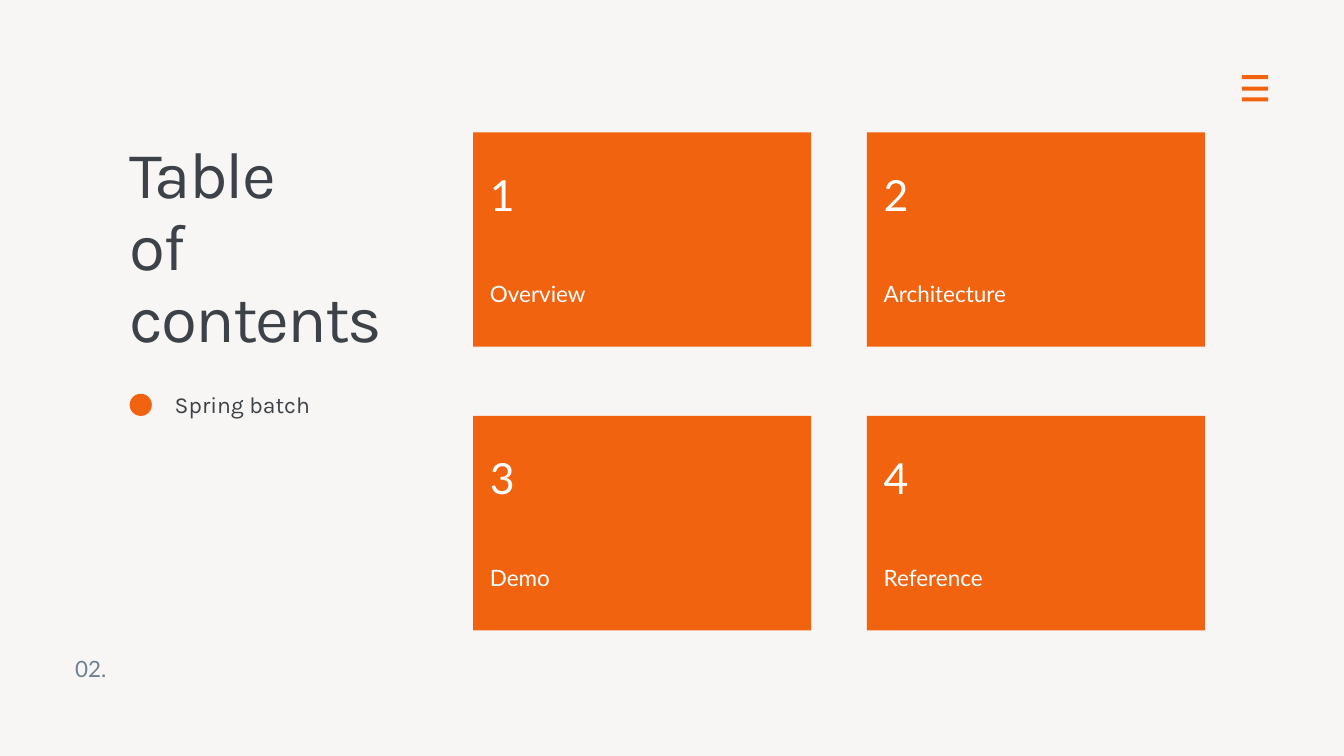
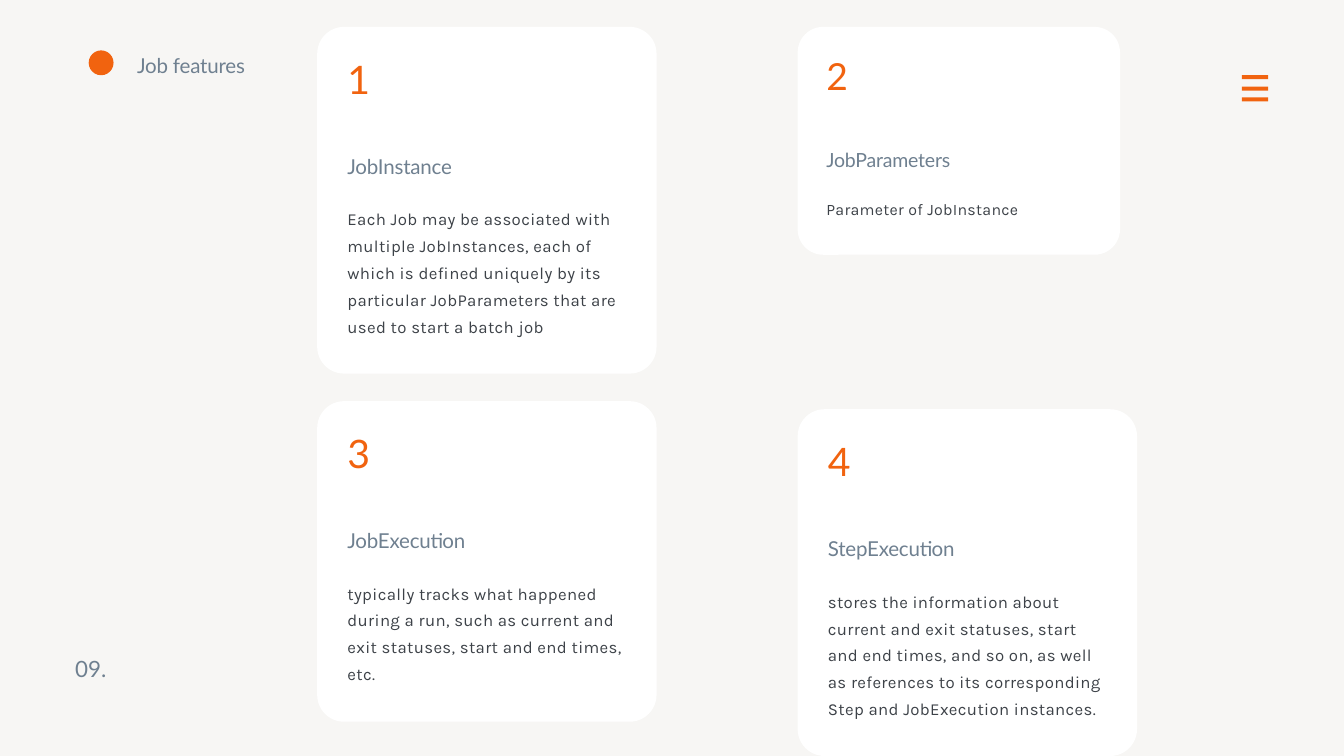
from pptx import Presentation
from pptx.dml.color import RGBColor
from pptx.enum.shapes import MSO_SHAPE as SHAPE
from pptx.util import Pt

PX = 9144  # EMU in one px, 100 px to the inch
WIDE, HIGH = 2000, 1125

PAPER = RGBColor(0xF7, 0xF6, 0xF4)
ORANGE = RGBColor(0xF1, 0x63, 0x0F)
INK = RGBColor(0x3D, 0x42, 0x48)
SLATE = RGBColor(0x6F, 0x80, 0x90)
WHITE = RGBColor(0xFF, 0xFF, 0xFF)

# Text styles: font, size, colour, line pitch, letter spacing (points)
TITLE = ("Karla", 70.3, INK, 77.4, -2.1)
TOPIC = ("Karla", 24.6, INK, 34.5, 0)
PAGE = ("Lato", 24, SLATE, 33.6, 0)
TILE_NUM = ("Lato", 45.9, WHITE, 48.2, 0)
TILE_NAME = ("Lato", 24.1, WHITE, 25.2, 0)
CARD_NUM = ("Lato", 42, ORANGE, 58.8, -0.4)
CARD_NAME = ("Lato", 22, SLATE, 30.8, -0.2)
CARD_BODY = ("Karla", 18, INK, 28.8, 0.4)

# Content
TITLE_LINES = ["Table", "of contents"]
TILES = ["Overview", "Architecture", "Demo", "Reference"]

# Cards: left, top, height before scaling, scale, name, body
CARDS = [
    (472, 40, 516, 1, "JobInstance",
     "Each Job may be associated with multiple JobInstances, each of "
     "which is defined uniquely by its particular JobParameters that are "
     "used to start a batch job"),
    (1187, 40, 357, 0.95, "JobParameters", "Parameter of JobInstance"),
    (472, 597, 477, 1, "JobExecution",
     "typically tracks what happened during a run, such as current and "
     "exit statuses, start and end times, etc."),
    (1187, 609, 516, 1, "StepExecution",
     "stores the information about current and exit statuses, start and "
     "end times, and so on, as well as references to its corresponding "
     "Step and JobExecution instances."),
]


def emu(*sizes):
    return [round(size * PX) for size in sizes]


def add_form(slide, kind, box, color):
    form = slide.shapes.add_shape(kind, *emu(*box))
    form.shadow.inherit = False
    form.fill.solid()
    form.fill.fore_color.rgb = color
    form.line.fill.background()
    return form


def add_text(slide, box, text, style, scale=1):
    face, size, color, pitch, gap = style
    frame = slide.shapes.add_textbox(*emu(*box)).text_frame
    frame.word_wrap = True
    frame.margin_left = frame.margin_right = 0
    frame.margin_top = frame.margin_bottom = 0
    frame.text = text
    for para in frame.paragraphs:
        para.line_spacing = Pt(round(pitch * scale, 1))
        for run in para.runs:
            run.font.name = face
            run.font.size = Pt(round(size * scale, 1))
            run.font.color.rgb = color
            if gap:
                run.font._element.set("spc", str(round(gap * scale * 100)))


def add_base(deck, page):
    """Background, menu icon and page number."""
    slide = deck.slides.add_slide(deck.slide_layouts[6])
    slide.background.fill.solid()
    slide.background.fill.fore_color.rgb = PAPER
    for top in (112, 129, 145):
        add_form(slide, SHAPE.RECTANGLE, (1848, top, 39, 6), ORANGE)
    add_text(slide, (112, 968, 480, 44), page, PAGE)
    return slide


def add_tile(slide, idx, name):
    row, col = divmod(idx, 2)
    left, top = 704 + col * 586, 197 + row * 422
    add_form(slide, SHAPE.RECTANGLE, (left, top, 503, 319), ORANGE)
    add_text(slide, (left + 25, top + 63, 92, 71), str(idx + 1), TILE_NUM)
    add_text(slide, (left + 25, top + 225, 454, 37), name, TILE_NAME)


def add_card(slide, num, left, top, high, scale, name, body):
    wide = 505
    card = add_form(slide, SHAPE.ROUNDED_RECTANGLE,
                    (left, top, wide * scale, high * scale), WHITE)
    card.adjustments[0] = 40 / min(wide, high)
    parts = [
        (30, 84, 76, str(num), CARD_NUM),
        (183, 416, 40, name, CARD_NAME),
        (261, 416, high - 323, body, CARD_BODY),
    ]
    for drop, span, tall, text, style in parts:
        box = (left + 45 * scale, top + drop * scale,
               span * scale, tall * scale)
        add_text(slide, box, text, style, scale)


def main():
    deck = Presentation()
    deck.slide_width, deck.slide_height = emu(WIDE, HIGH)

    # Table of contents
    slide = add_base(deck, "02.")
    add_text(slide, (193, 207, 399, 326), "\n".join(TITLE_LINES), TITLE)
    add_form(slide, SHAPE.OVAL, (193, 586, 33, 33), ORANGE)
    add_text(slide, (260, 574, 332, 45), "Spring batch", TOPIC)
    for idx, name in enumerate(TILES):
        add_tile(slide, idx, name)

    # Job features
    slide = add_base(deck, "09.")
    for num, card in enumerate(CARDS, 1):
        add_card(slide, num, *card)
    add_form(slide, SHAPE.OVAL, (132, 75, 37, 37), ORANGE)
    add_text(slide, (204, 73, 608, 40), "Job features", CARD_NAME)

    deck.save("out.pptx")


if __name__ == "__main__":
    main()
